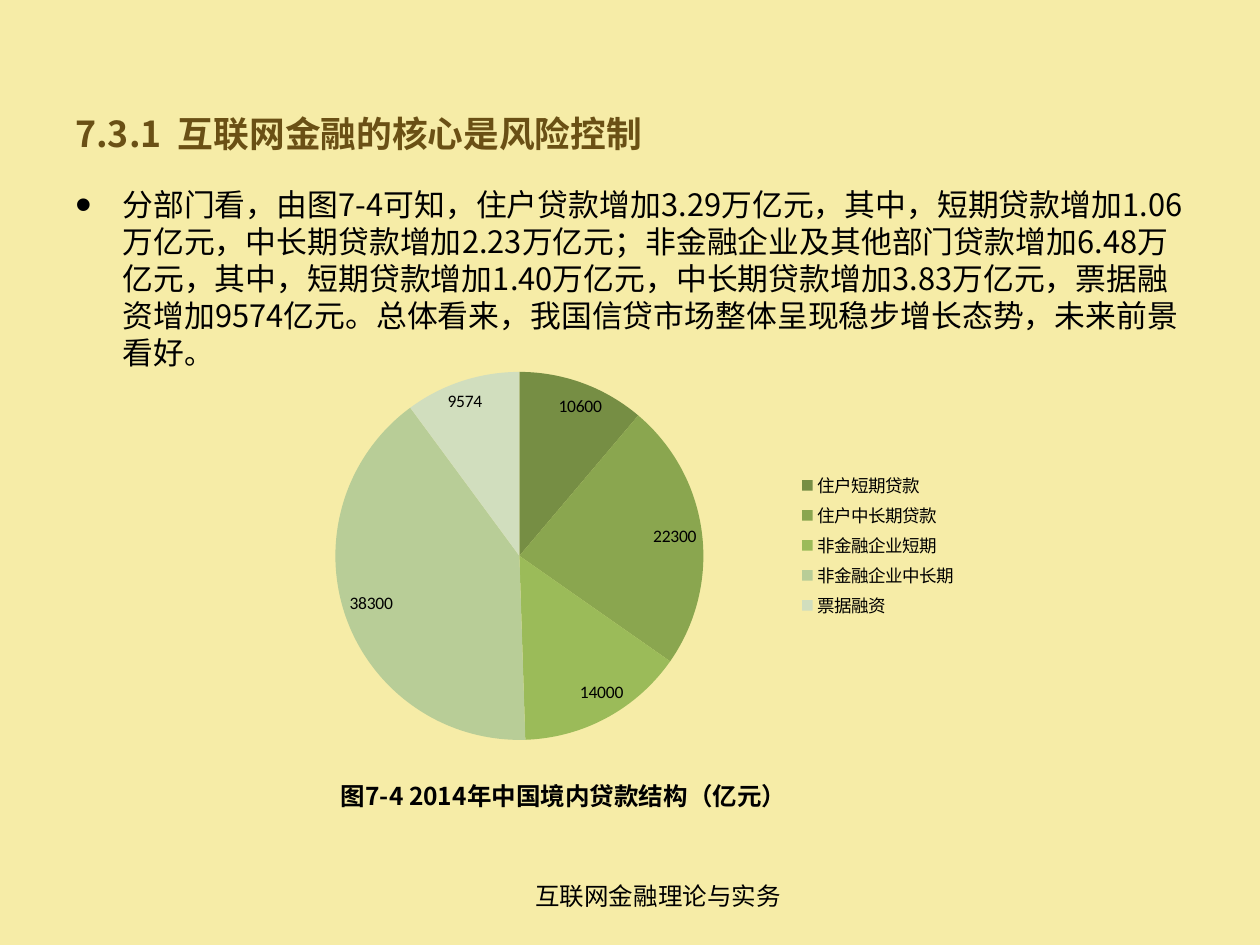
from dataclasses import dataclass

from lxml import etree
from pptx import Presentation
from pptx.chart.data import CategoryChartData
from pptx.dml.color import RGBColor
from pptx.enum import chart as ch, lang, text
from pptx.oxml import ns
from pptx.util import Cm, Pt


@dataclass(frozen=True)
class Theme:
    background: str = "F6ECA7"
    heading: str = "6A5015"
    ink: str = "000000"
    slices: tuple = ("768E44", "8AA64F", "9BBB59", "B8CD97", "D1DEBE")
    font: str = "Noto Sans CJK SC"
    chart_font: str = "Calibri"
    heading_size: float = 20.4
    body_size: float = 17.6
    end_size: float = 16.6
    caption_size: float = 14
    chart_size: float = 10


THEME = Theme()
LOANS = {
    "住户短期贷款": 10600,
    "住户中长期贷款": 22300,
    "非金融企业短期": 14000,
    "非金融企业中长期": 38300,
    "票据融资": 9574,
}


def add_run(p, words, size, color=THEME.ink, bold=False):
    r = p.add_run()
    r.text = words
    f = r.font
    f.name, f.size, f.bold = THEME.font, Pt(size), bold
    f.color.rgb = RGBColor.from_string(color)
    f.language_id = lang.MSO_LANGUAGE_ID.SIMPLIFIED_CHINESE
    ea = etree.SubElement(r._r.get_or_add_rPr(), ns.qn("a:ea"))
    ea.set("typeface", THEME.font)


def add_bullet(p, indent, percent):
    pPr = p._p.get_or_add_pPr()
    pPr.set("marL", str(indent))
    pPr.set("indent", str(-indent))
    for tag, key, value in (
        ("a:buSzPct", "val", str(percent * 1000)),
        ("a:buFont", "typeface", "Arial"),
        ("a:buChar", "char", "•"),
    ):
        etree.SubElement(pPr, ns.qn(tag)).set(key, value)


def add_body(s, x, y, w, h):
    tf = s.shapes.add_textbox(x, y, w, h).text_frame
    tf.word_wrap = True
    # Section heading
    p = tf.paragraphs[0]
    add_run(p, "7.3.1  互联网金融的核心是风险控制", THEME.heading_size,
            THEME.heading, True)
    # Bulleted discussion
    p = tf.add_paragraph()
    p.space_before = Pt(18)
    add_bullet(p, Cm(0.95), 150)
    add_run(p, "分部门看，由图7-4可知，住户贷款增加3.29万亿元，其中，短期贷款增加1.06万亿元，"
               "中长期贷款增加2.23万亿元；非金融企业及其他部门贷款增加6.48万亿元，其中，"
               "短期贷款增加1.40万亿元，中长期贷款增加3.83万亿元，票据融资增加9574亿元。"
               "总体看来，我国信贷市场整体呈现稳步增长态势，未来前景看好", THEME.body_size)
    add_run(p, "。", THEME.end_size)


def style_chart_font(font):
    font.name, font.size = THEME.chart_font, Pt(THEME.chart_size)
    font.color.rgb = RGBColor.from_string(THEME.ink)


def set_plot_layout(chart, **box):
    area = chart._chartSpace.chart.plotArea
    for old in area.findall(ns.qn("c:layout")):
        area.remove(old)
    layout = etree.Element(ns.qn("c:layout"))
    manual = etree.SubElement(layout, ns.qn("c:manualLayout"))
    settings = dict(layoutTarget="inner", xMode="edge", yMode="edge", **box)
    for name, value in settings.items():
        etree.SubElement(manual, ns.qn("c:" + name)).set("val", str(value))
    area.insert(0, layout)


def add_loan_pie(s, x, y, w, h):
    data = CategoryChartData()
    data.categories = list(LOANS)
    data.add_series("Series 1", list(LOANS.values()))
    chart = s.shapes.add_chart(ch.XL_CHART_TYPE.PIE, x, y, w, h, data).chart
    chart.has_title = False
    style_chart_font(chart.font)
    set_plot_layout(chart, x=0.12, y=0.09, w=0.52, h=0.87)
    # Legend
    chart.has_legend = True
    chart.legend.position = ch.XL_LEGEND_POSITION.RIGHT
    chart.legend.include_in_layout = False
    style_chart_font(chart.legend.font)
    # Slices and values
    plot = chart.plots[0]
    plot.vary_by_categories = True
    for i, color in enumerate(THEME.slices):
        fill = plot.series[0].points[i].format.fill
        fill.solid()
        fill.fore_color.rgb = RGBColor.from_string(color)
    plot.has_data_labels = True
    labels = plot.data_labels
    labels.show_value = True
    labels.position = ch.XL_LABEL_POSITION.BEST_FIT
    style_chart_font(labels.font)


def add_centred_line(s, x, y, w, h, words, bold=False, wrap=True):
    tf = s.shapes.add_textbox(x, y, w, h).text_frame
    tf.word_wrap = wrap
    tf.auto_size = text.MSO_AUTO_SIZE.SHAPE_TO_FIT_TEXT
    p = tf.paragraphs[0]
    p.alignment = text.PP_ALIGN.CENTER
    add_run(p, words, THEME.caption_size, bold=bold)


def main():
    prs = Presentation()
    prs.slide_width, prs.slide_height = Cm(25.4), Cm(19.05)
    s = prs.slides.add_slide(prs.slide_layouts[6])
    s.background.fill.solid()
    s.background.fill.fore_color.rgb = RGBColor.from_string(THEME.background)

    # Footer, discussion, chart and its caption
    add_centred_line(s, Cm(7.77), Cm(17.63), Cm(11), Cm(0.86), "互联网金融理论与实务")
    add_body(s, Cm(1.27), Cm(2.13), Cm(22.86), Cm(5.41))
    add_loan_pie(s, Cm(4.9), Cm(6.73), Cm(14.66), Cm(8.53))
    add_centred_line(s, Cm(6.5), Cm(15.62), Cm(9.73), Cm(0.86),
                     "图7-4 2014年中国境内贷款结构（亿元）", bold=True, wrap=False)
    prs.save("out.pptx")


if __name__ == "__main__":
    main()
